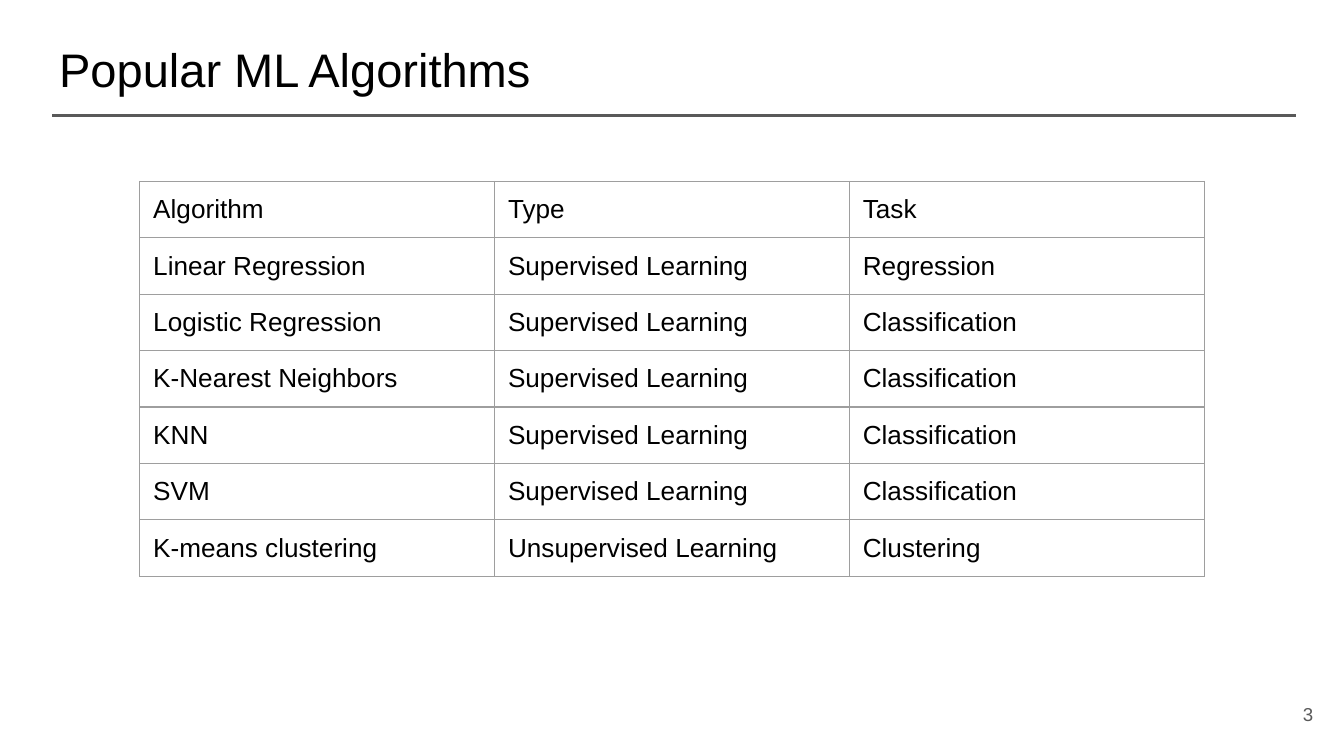
"""Build the slide that lists popular ML algorithms in a table."""
from lxml import etree
from pptx import Presentation
from pptx.dml.color import RGBColor
from pptx.enum.shapes import MSO_CONNECTOR
from pptx.enum.text import MSO_ANCHOR, MSO_AUTO_SIZE, PP_ALIGN
from pptx.oxml.ns import qn
from pptx.util import Inches, Pt

LEFT, RIGHT = PP_ALIGN.LEFT, PP_ALIGN.RIGHT
TOP, MIDDLE = MSO_ANCHOR.TOP, MSO_ANCHOR.MIDDLE
STRAIGHT, FIXED = MSO_CONNECTOR.STRAIGHT, MSO_AUTO_SIZE.NONE

BLACK = RGBColor(0x00, 0x00, 0x00)
GRAY = RGBColor(0x59, 0x59, 0x59)
EDGE = RGBColor(0x9E, 0x9E, 0x9E)
FONT = "Arial"
PAD = Inches(0.1)
WIDTH = 10
HEIGHT = WIDTH * 9 / 16

TITLE = "Popular ML Algorithms"
NUMBER = "3"
ROWS = [
    ("Algorithm", "Type", "Task"),
    ("Linear Regression", "Supervised Learning", "Regression"),
    ("Logistic Regression", "Supervised Learning", "Classification"),
    ("K-Nearest Neighbors", "Supervised Learning", "Classification"),
    ("KNN", "Supervised Learning", "Classification"),
    ("SVM", "Supervised Learning", "Classification"),
    ("K-means clustering", "Unsupervised Learning", "Clustering"),
]
COL_W, ROW_H = 2.64, 0.42


def write(frame, text, size=14, color=BLACK, align=LEFT):
    para = frame.paragraphs[0]
    para.text = text
    para.alignment = align
    font = para.runs[0].font
    font.name, font.size, font.color.rgb = FONT, Pt(size), color


def pad(box):
    box.margin_left = box.margin_right = PAD
    box.margin_top = box.margin_bottom = PAD


def write_box(shape, text, anchor=TOP, **style):
    frame = shape.text_frame
    frame.word_wrap, frame.auto_size = True, FIXED
    frame.vertical_anchor = anchor
    pad(frame)
    write(frame, text, **style)


def add_edges(cell):
    props = cell._tc.get_or_add_tcPr()
    for spot, side in enumerate(("lnL", "lnR", "lnT", "lnB")):
        line = etree.Element(qn(f"a:{side}"), w=str(Pt(0.75)))
        fill = etree.SubElement(line, qn("a:solidFill"))
        etree.SubElement(fill, qn("a:srgbClr"), val=str(EDGE))
        props.insert(spot, line)


def add_grid(slide):
    count, wide = len(ROWS), len(ROWS[0])
    table = slide.shapes.add_table(
        count, wide, Inches(1.04), Inches(1.35),
        Inches(COL_W * wide), Inches(ROW_H * count)).table
    table.first_row = table.horz_banding = False
    for r, row in enumerate(ROWS):
        for c, text in enumerate(row):
            cell = table.cell(r, c)
            cell.fill.background()
            pad(cell)
            write(cell.text_frame, text)
            add_edges(cell)


def main():
    deck = Presentation()
    deck.slide_width, deck.slide_height = Inches(WIDTH), Inches(HEIGHT)
    slide = deck.slides.add_slide(deck.slide_layouts[5])

    title = slide.shapes.title
    title.left, title.top = Inches(0.34), Inches(0.2)
    title.width, title.height = Inches(9.32), Inches(0.63)
    write_box(title, TITLE, size=25.2)

    rule = slide.shapes.add_connector(
        STRAIGHT, Inches(0.39), Inches(0.86), Inches(9.64), Inches(0.86))
    rule.line.color.rgb, rule.line.width = GRAY, Pt(1.5)
    etree.SubElement(rule._element.spPr, qn("a:effectLst"))

    page = slide.shapes.add_textbox(
        Inches(9.27), Inches(5.1), Inches(0.6), Inches(0.43))
    write_box(page, NUMBER, anchor=MIDDLE, size=10, color=GRAY, align=RIGHT)

    add_grid(slide)
    deck.save("out.pptx")


if __name__ == "__main__":
    main()
